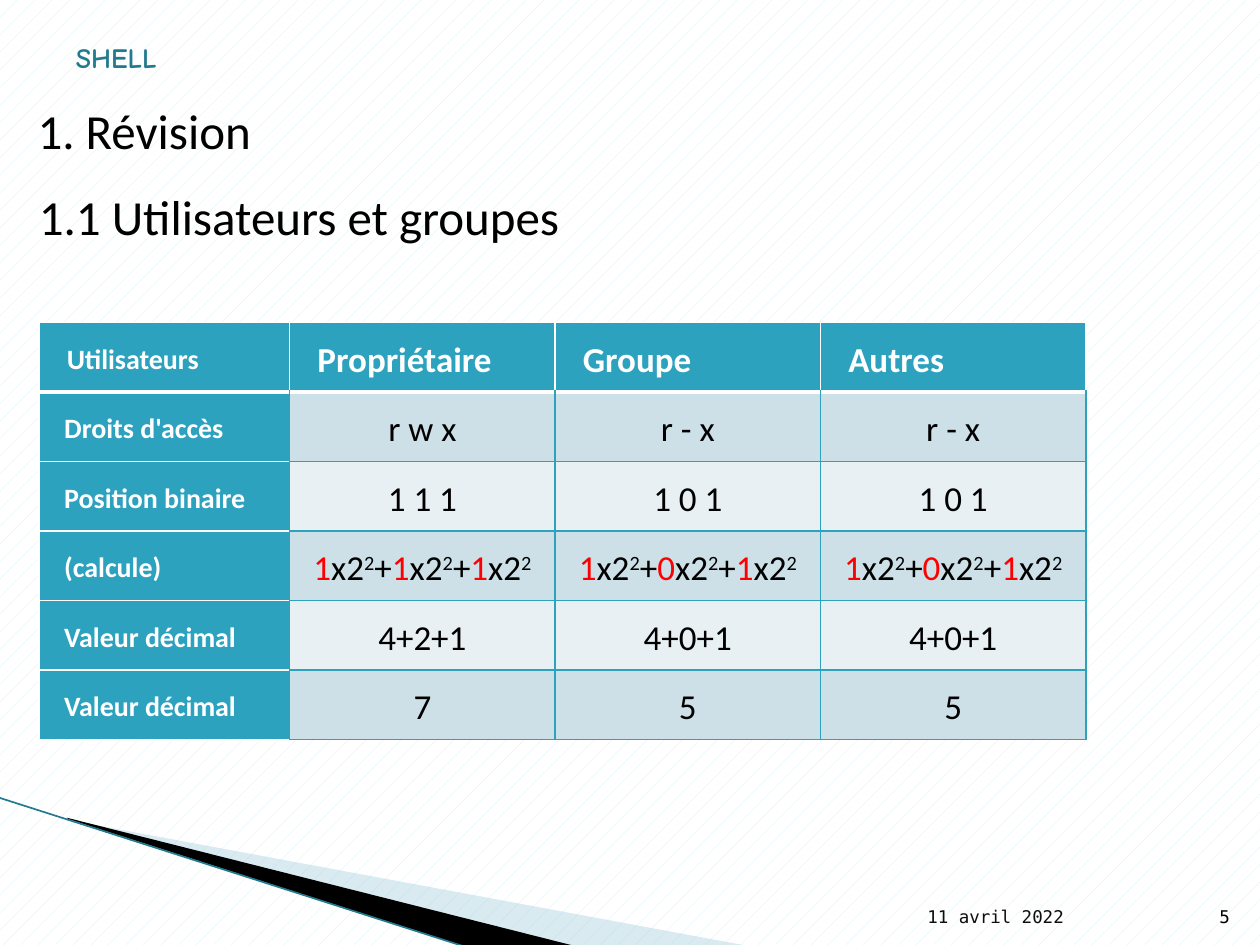
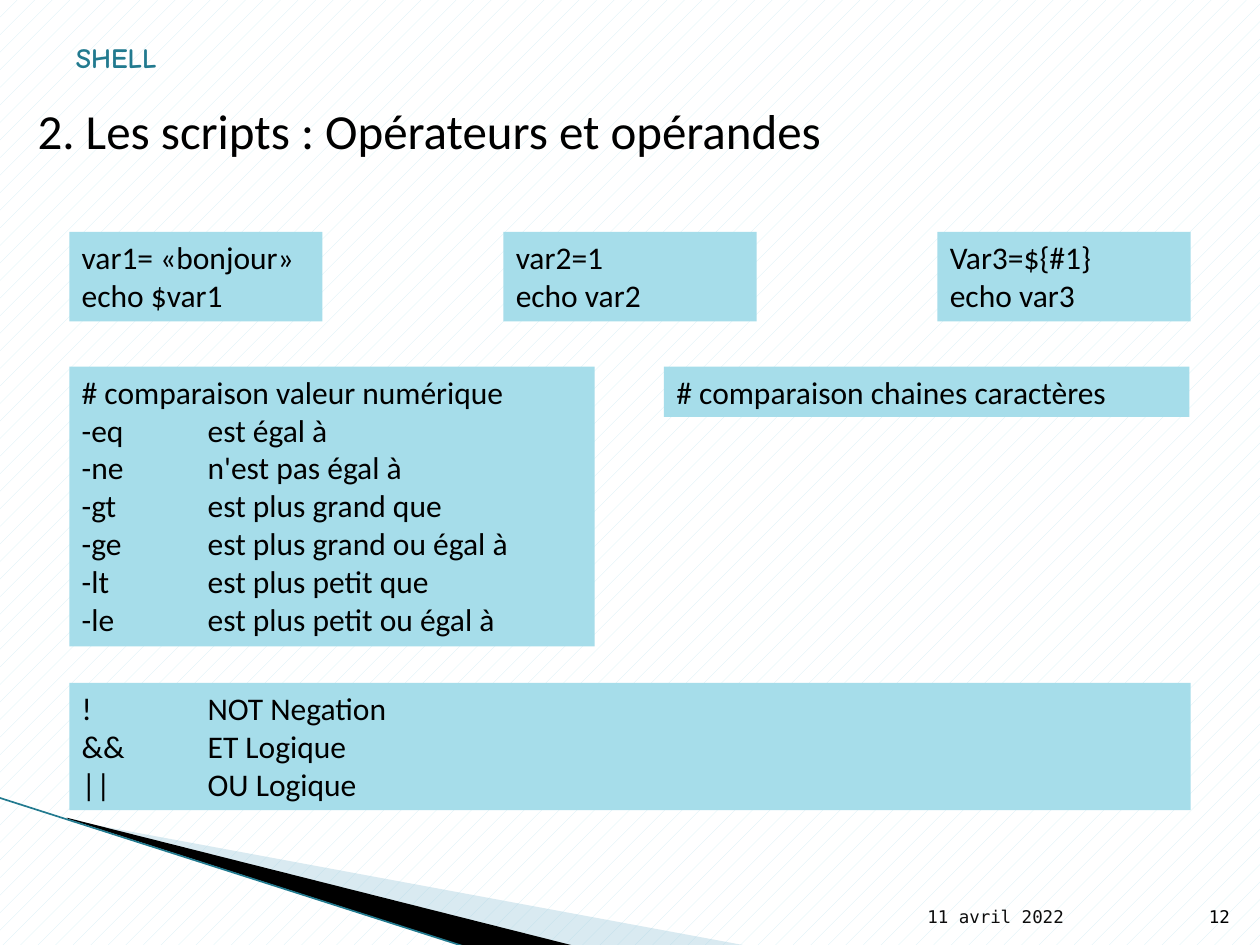
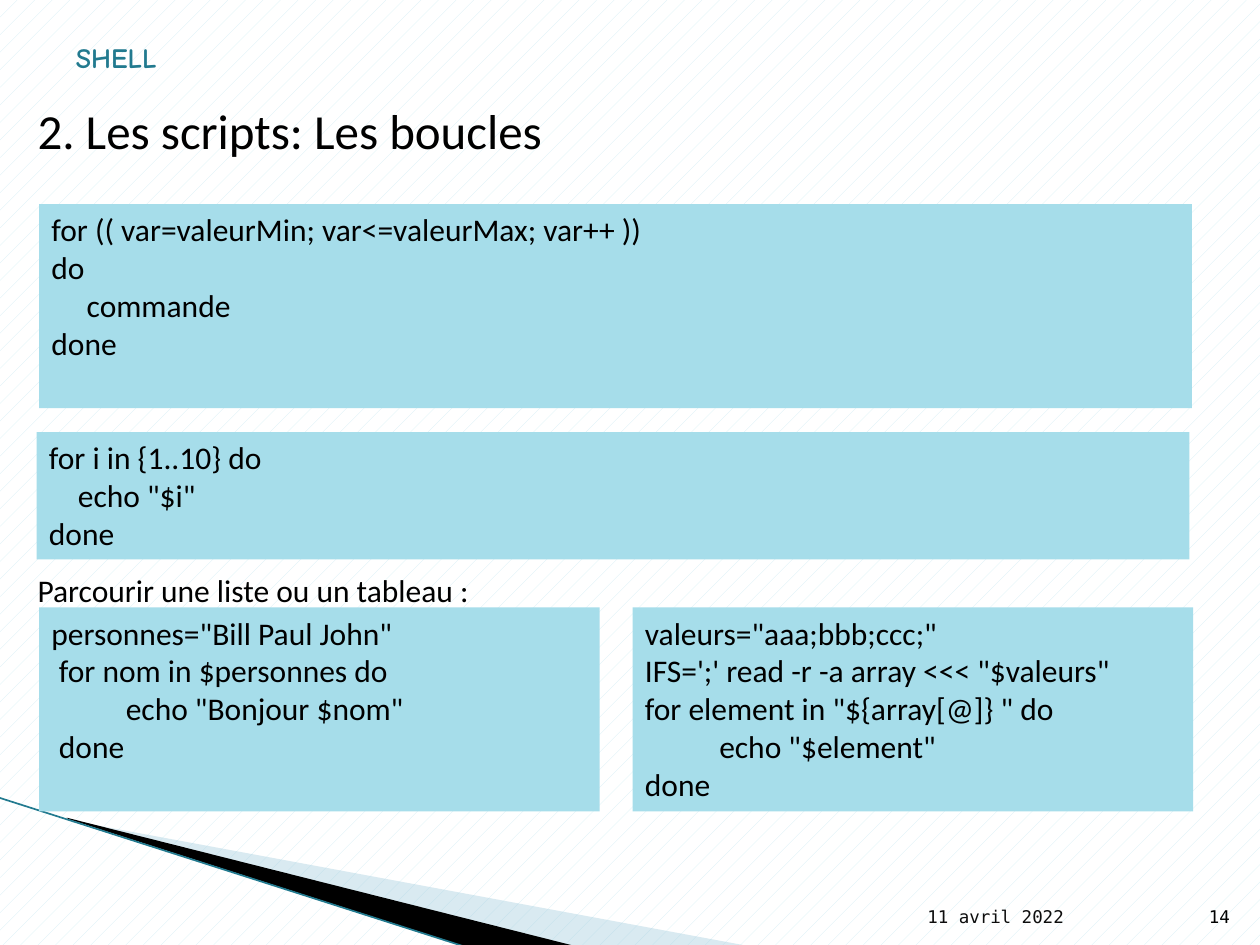
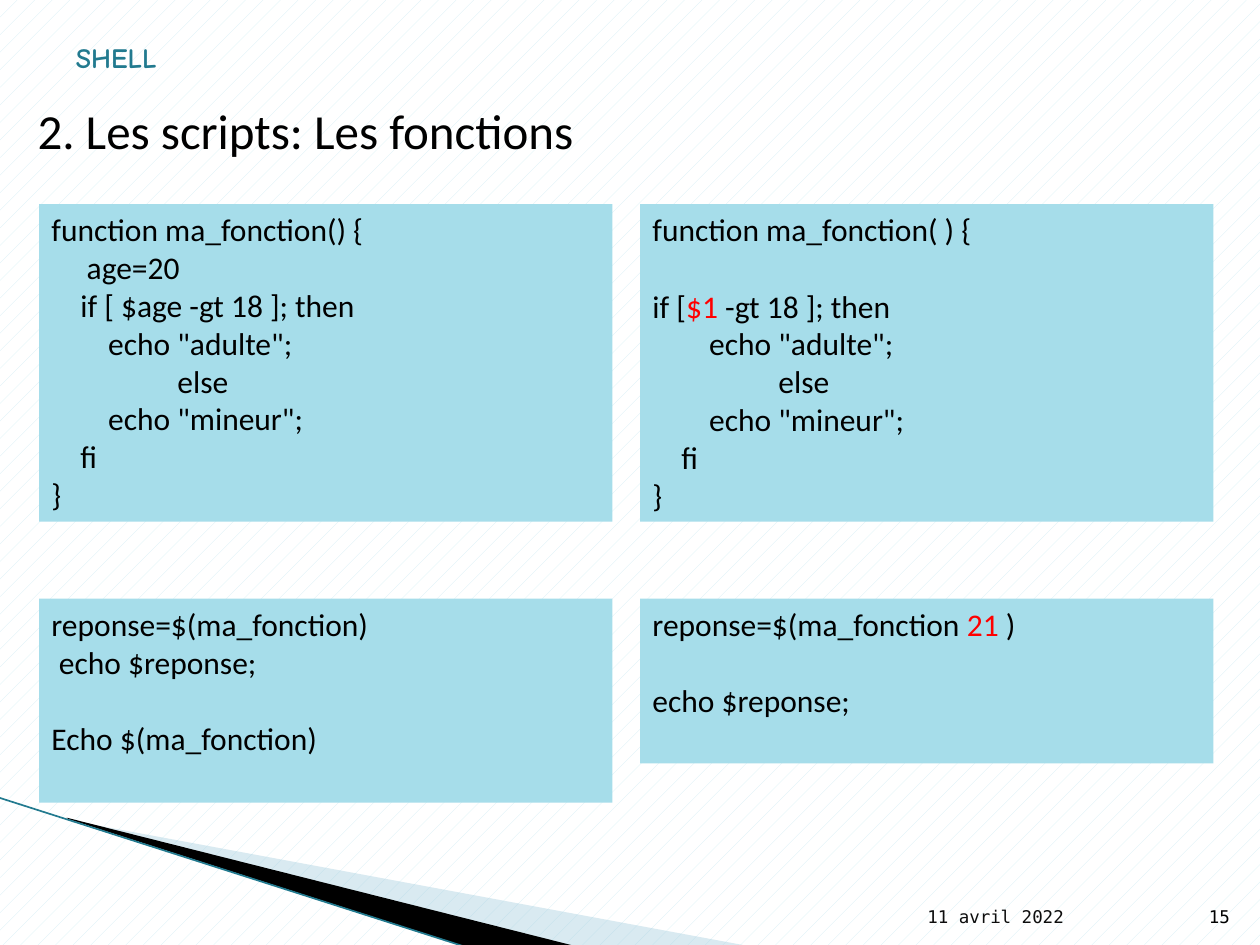
from lxml.etree import SubElement
from pptx import Presentation
from pptx.dml.color import RGBColor
from pptx.enum.dml import MSO_PATTERN
from pptx.enum.shapes import MSO_CONNECTOR, MSO_SHAPE
from pptx.enum.text import MSO_ANCHOR, PP_ALIGN
from pptx.oxml.ns import qn
from pptx.util import Inches, Pt

TEAL, DARK, SKY = "2DA2BF", "227A8F", "A6DDEA"
BLACK, WHITE, RED = "000000", "FFFFFF", "FF0000"
BANDS = ("CDE0E8", "E8F0F4")
SANS, MONO, COMIC = "Calibri", "DejaVu Sans Mono", "Comic Neue"
LEFT, RIGHT, MID = PP_ALIGN.LEFT, PP_ALIGN.RIGHT, PP_ALIGN.CENTER


def rgb(code):
    return RGBColor.from_string(code)


def paint(fill, code):
    fill.solid()
    fill.fore_color.rgb = rgb(code)


# Text: a line is a string or a list of (text, colour, raised) runs
def add_run(para, text, size, font, color, bold=False, raised=False):
    run = para.add_run()
    run.text = text
    run.font.size = Pt(size)
    run.font.name = font
    run.font.bold = bold
    run.font.color.rgb = rgb(color)
    if raised:
        run._r.get_or_add_rPr().set("baseline", "30000")


def add_line(para, line, size=18, font=SANS, color=BLACK, bold=False,
             align=LEFT, indent=0):
    para.alignment = align
    if indent:
        para._p.get_or_add_pPr().set("indent", str(Inches(indent)))
    runs = [(line, color, False)] if isinstance(line, str) else line
    for text, tint, raised in runs:
        add_run(para, text, size, font, tint, bold, raised)


def add_tab(para, place):
    tabs = SubElement(para._p.get_or_add_pPr(), qn("a:tabLst"))
    SubElement(tabs, qn("a:tab"), pos=str(Inches(place)), algn="l")


def label(slide, box, text, anchor=MSO_ANCHOR.TOP, side=0.1, **style):
    shape = slide.shapes.add_textbox(*map(Inches, box))
    frame = shape.text_frame
    frame.word_wrap = True
    frame.vertical_anchor = anchor
    frame.margin_left = frame.margin_right = Inches(side)
    add_line(frame.paragraphs[0], text, **style)


# Code panel: each row is a line, or (line, indent, blank lines above)
def code(slide, box, rows):
    shape = slide.shapes.add_shape(MSO_SHAPE.RECTANGLE, *map(Inches, box))
    shape.shadow.inherit = False
    paint(shape.fill, SKY)
    shape.line.fill.background()
    frame = shape.text_frame
    frame.word_wrap = True
    frame.vertical_anchor = MSO_ANCHOR.TOP
    for i, row in enumerate(rows):
        line, indent, skip = row if isinstance(row, tuple) else (row, 0, 0)
        para = frame.paragraphs[0] if i == 0 else frame.add_paragraph()
        if skip:
            para.space_before = Pt(22 * skip)
        if "\t" in line:
            add_tab(para, 1)
        add_line(para, line, indent=indent)


# Shared decor
def wedge(slide, points, color, alpha=None):
    spots = [(Inches(x), Inches(y)) for x, y in points]
    pen = slide.shapes.build_freeform(*spots[0])
    pen.add_line_segments(spots[1:], close=True)
    shape = pen.convert_to_shape()
    shape.shadow.inherit = False
    paint(shape.fill, color)
    shape.line.fill.background()
    if alpha:
        tint = shape._element.spPr.find(".//" + qn("a:srgbClr"))
        SubElement(tint, qn("a:alpha")).set("val", str(alpha * 1000))


def new_slide(deck, title, number):
    slide = deck.slides.add_slide(deck.slide_layouts[6])
    back = slide.background.fill
    back.patterned()
    back.pattern = MSO_PATTERN.PERCENT_5
    back.fore_color.rgb = rgb("D3EEF5")
    back.back_color.rgb = rgb(WHITE)

    # Corner wedges and edge line
    wedge(slide, [(0.55, 6.51), (5.95, 7.51), (4.56, 7.51), (0.55, 6.5)],
          "A0CBDC", 40)
    wedge(slide, [(0.53, 6.49), (4.57, 7.51), (3.72, 7.52), (0.54, 6.5)],
          BLACK)
    edge = slide.shapes.add_connector(
        MSO_CONNECTOR.STRAIGHT, *map(Inches, (-0.01, 6.33, 3.71, 7.52)))
    edge.line.color.rgb = rgb(DARK)
    edge.line.width = Pt(0.95)
    SubElement(edge._element.spPr, qn("a:effectLst"))

    # Footer, title and course tag
    low = MSO_ANCHOR.BOTTOM
    label(slide, (7.36, 7.01, 2.1, 0.4), "11 avril 2022", low, 0,
          size=10, font=MONO, color="0D0D0D")
    label(slide, (9.46, 7.01, 0.4, 0.4), str(number), low,
          size=10, font=MONO, align=RIGHT)
    label(slide, (0.2, 0.75, 9.57, 0.56), title, size=28)
    label(slide, (0.31, 0.24, 1.03, 0.4), "SHELL", low,
          size=16, font=COMIC, color=DARK, bold=True, align=RIGHT)
    return slide


# Table of access rights
def border(cell, sides):
    props = cell._tc.get_or_add_tcPr()
    for side in "LRTB":
        color, width = sides[side]
        line = SubElement(props, qn("a:ln" + side), w=str(Pt(width)))
        SubElement(SubElement(line, qn("a:solidFill")),
                   qn("a:srgbClr"), val=color)


def edges(row, col):
    thin, thick = (WHITE, 1), (WHITE, 2.25)
    rule = (TEAL, 1)
    if row == 0:
        return {"L": thin, "R": thin, "T": thin, "B": thick}
    base = thin if col == 0 else rule
    return {"L": base, "R": rule, "T": thick if row == 1 else base, "B": base}


def powers(bits):
    runs = []
    for i, bit in enumerate(bits):
        if i:
            runs.append(("+", BLACK, False))
        runs += [(bit, RED, False), ("x2", BLACK, False), ("2", BLACK, True)]
    return runs


def rights(slide, box, rows):
    left, top, wide, high = box
    first = 1.99
    frame = slide.shapes.add_table(len(rows), len(rows[0]),
                                   *map(Inches, box))
    table = frame.table
    table.horz_banding = False
    for i, col in enumerate(table.columns):
        rest = (wide - first) / (len(rows[0]) - 1)
        col.width = Inches(rest if i else first)
    for r, row in enumerate(rows):
        table.rows[r].height = Inches(high / len(rows))
        for c, line in enumerate(row):
            cell = table.cell(r, c)
            head = r == 0 or c == 0
            border(cell, edges(r, c))
            paint(cell.fill, TEAL if head else BANDS[(r - 1) % 2])
            cell.vertical_anchor = MSO_ANCHOR.MIDDLE
            cell.margin_left = cell.margin_right = Inches(0.05)
            cell.margin_top = cell.margin_bottom = 0
            para = cell.text_frame.paragraphs[0]
            para.line_spacing = 1.15
            add_line(para, line, size=20 if c else 16, bold=head,
                     color=WHITE if head else BLACK,
                     align=LEFT if head else MID,
                     indent=(0.15 if r else 0.17) if head else 0)


# Slides
def users(deck):
    slide = new_slide(deck, "1. Révision", 5)
    label(slide, (0.21, 1.43, 9.25, 0.57), "1.1 Utilisateurs et groupes",
          size=28)
    rights(slide, (0.31, 2.56, 8.31, 3.31), [
        ["Utilisateurs", "Propriétaire", "Groupe", "Autres"],
        ["Droits d'accès", "r w x", "r - x", "r - x"],
        ["Position binaire", "1 1 1", "1 0 1", "1 0 1"],
        ["(calcule)", powers("111"), powers("101"), powers("101")],
        ["Valeur décimal", "4+2+1", "4+0+1", "4+0+1"],
        ["Valeur décimal", "7", "5", "5"],
    ])


def signs(deck):
    slide = new_slide(deck, "2. Les scripts : Opérateurs et opérandes", 12)
    left, wide = 0.55, 8.9
    code(slide, (left, 2.91, 4.17, 2.22), [
        "# comparaison valeur numérique",
        "-eq\test égal à",
        "-ne\tn'est pas égal à",
        "-gt\test plus grand que",
        "-ge\test plus grand ou égal à",
        "-lt\test plus petit que",
        "-le\test plus petit ou égal à",
    ])
    cards = [["var1= «bonjour» echo $var1"],
             ["var2=1", "echo var2"],
             ["Var3=${#1}", "echo var3"]]
    step = (wide - 2.01) / (len(cards) - 1)
    for i, rows in enumerate(cards):
        code(slide, (left + i * step, 1.84, 2.01, 0.71), rows)
    code(slide, (left, 5.42, wide, 1.01),
         ["!\tNOT Negation", "&&\tET Logique", "||\tOU Logique"])
    code(slide, (5.27, 2.91, 4.17, 0.4),
         ["# comparaison chaines caractères"])


def loops(deck):
    slide = new_slide(deck, "2. Les scripts: Les boucles", 14)
    code(slide, (0.31, 1.62, 9.15, 1.62), [
        "for (( var=valeurMin; var<=valeurMax; var++ ))",
        "do",
        ("commande", 0.28, 0),
        "done",
    ])
    code(slide, (0.29, 3.43, 9.15, 1.01), [
        "for i in {1..10} do",
        ("echo \"$i\"", 0.23, 0),
        "done",
    ])
    lists = [
        ["personnes=\"Bill Paul John\"",
         ("for nom in $personnes do", 0.06, 0),
         ("echo \"Bonjour $nom\"", 0.59, 0),
         ("done", 0.06, 0)],
        ["valeurs=\"aaa;bbb;ccc;\"",
         "IFS=';' read -r -a array <<< \"$valeurs\"",
         "for element in \"${array[@]} \" do",
         ("echo \"$element\"", 0.59, 0),
         "done"],
    ]
    for i, rows in enumerate(lists):
        code(slide, (0.31 + i * 4.71, 4.82, 4.45, 1.62), rows)
    label(slide, (0.2, 4.48, 4.14, 0.4),
          "Parcourir une liste ou un tableau :")


def funcs(deck):
    slide = new_slide(deck, "2. Les scripts: Les fonctions", 15)
    tail = [("echo \"adulte\";", 0.45, 0), ("else", 1, 0),
            ("echo \"mineur\";", 0.45, 0), ("fi", 0.23, 0), "}"]
    test = [("if [", BLACK, False), ("$1", RED, False),
            (" -gt 18 ]; then", BLACK, False)]
    call = [("reponse=$(ma_fonction ", BLACK, False), ("21", RED, False),
            (" )", BLACK, False)]
    pairs = [
        (["function ma_fonction() {", ("age=20", 0.28, 0),
          ("if [ $age -gt 18 ]; then", 0.23, 0)],
         ["reponse=$(ma_fonction)", ("echo $reponse;", 0.06, 0),
          ("Echo $(ma_fonction)", 0, 1)], 1.62),
        (["function ma_fonction( ) {", (test, 0, 1)],
         [call, ("echo $reponse;", 0, 1)], 1.31),
    ]
    for i, (head, use, high) in enumerate(pairs):
        left = 0.31 + i * 4.77
        code(slide, (left, 1.62, 4.55, 2.52), head + tail)
        code(slide, (left, 4.75, 4.55, high), use)


def main():
    deck = Presentation()
    deck.slide_width, deck.slide_height = Inches(10), Inches(7.5)
    for build in (users, signs, loops, funcs):
        build(deck)
    deck.save("out.pptx")


if __name__ == "__main__":
    main()
